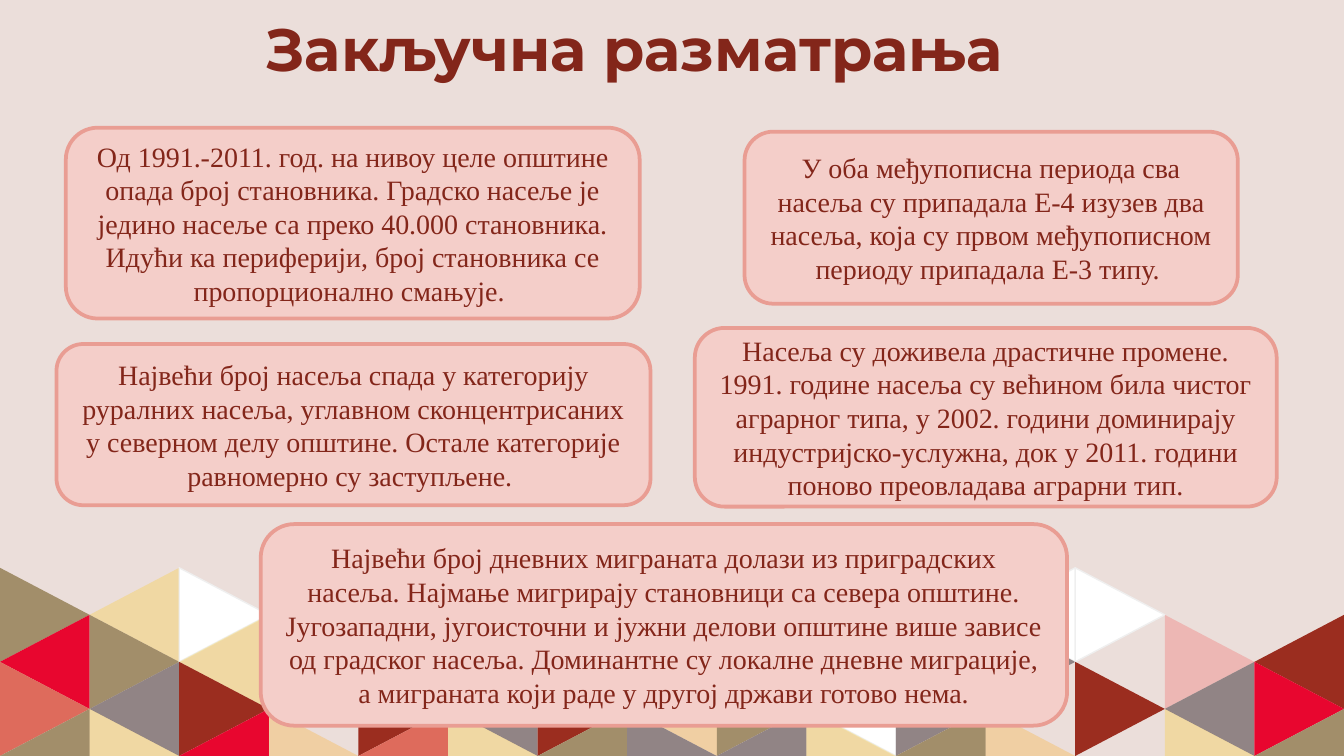
from lxml.etree import SubElement
from pptx import Presentation
from pptx.dml.color import RGBColor
from pptx.enum.shapes import MSO_SHAPE
from pptx.enum.text import MSO_ANCHOR, PP_ALIGN
from pptx.oxml.ns import qn
from pptx.util import Inches, Pt

SLIDE_WIDTH = Inches(10)
SLIDE_HEIGHT = SLIDE_WIDTH * 9 // 16
COLUMN_WIDTH = SLIDE_WIDTH / 15
LEVEL_HEIGHT = Inches(0.35)
LEVEL_COUNT = 4

BACKGROUND = RGBColor(0xEB, 0xDE, 0xDA)
TEXT_COLOR = RGBColor(0x83, 0x26, 0x1A)
BOX_FILL = RGBColor(0xF4, 0xCE, 0xC9)
BOX_LINE = RGBColor(0xE9, 0x9D, 0x93)
TRIANGLE_LINE = RGBColor(0xEF, 0xEF, 0xEF)
RED = RGBColor(0xE8, 0x06, 0x2F)
GREY = RGBColor(0x91, 0x84, 0x85)
TAN = RGBColor(0xA2, 0x8E, 0x6A)
RUST = RGBColor(0x9B, 0x2D, 0x1F)
CORAL = RGBColor(0xDE, 0x6B, 0x5C)
WHITE = RGBColor(0xFF, 0xFF, 0xFF)
YELLOW = RGBColor(0xFF, 0xC8, 0x00)
ORANGE = RGBColor(0xFF, 0xA4, 0x00)
PINK = RGBColor(0xF6, 0x46, 0x46)
TRANSLUCENT = (YELLOW, ORANGE, PINK)

# One list per column: direction the triangle points, level of its top, color
TRIANGLE_COLUMNS = [
    [("right", 0, TAN), ("left", 1, RED), ("right", 2, CORAL), ("left", 3, TAN)],
    [("left", 0, YELLOW), ("right", 1, TAN), ("left", 2, GREY), ("right", 3, YELLOW)],
    [("right", 0, WHITE), ("left", 1, YELLOW), ("right", 2, RUST), ("left", 3, RED)],
    [("right", 3, ORANGE)],
    [("right", 2, RUST), ("left", 3, CORAL)],
    [("left", 2, GREY), ("right", 3, YELLOW)],
    [("right", 2, RUST), ("left", 3, TAN)],
    [("left", 2, ORANGE), ("right", 3, GREY)],
    [("right", 2, TAN), ("left", 3, GREY)],
    [("left", 2, WHITE), ("right", 3, YELLOW)],
    [("right", 2, GREY), ("left", 3, TAN)],
    [("left", 0, WHITE), ("right", 1, GREY), ("right", 3, ORANGE)],
    [("right", 0, WHITE), ("right", 2, RUST)],
    [("right", 1, PINK), ("left", 2, GREY), ("right", 3, YELLOW)],
    [("left", 1, RUST), ("right", 2, RED), ("left", 3, TAN)],
]

# Left, top, width, height, text
CONCLUSIONS = [
    (0.49, 0.95, 4.27, 1.42,
     "Од 1991.-2011. год. на нивоу целе општине опада број становника. "
     "Градско насеље је једино насеље са преко 40.000 становника. "
     "Идући ка периферији, број становника се пропорционално смањује. "),
    (5.54, 0.98, 3.67, 1.28,
     "У оба међупописна периода сва насеља су припадала Е-4 изузев два насеља, "
     "која су првом међупописном периоду припадала Е-3 типу. "),
    (0.42, 2.56, 4.42, 1.2,
     "Највећи број насеља спада у категорију руралних насеља, углавном "
     "сконцентрисаних у северном делу општине. Остале категорије равномерно "
     "су заступљене. "),
    (5.17, 2.44, 4.33, 1.33,
     "Насеља су доживела драстичне промене. 1991. године насеља су већином била "
     "чистог аграрног типа, у 2002. години доминирају индустријско-услужна, "
     "док у 2011. години поново преовладава аграрни тип."),
    (1.94, 3.9, 6, 1.5,
     "Највећи број дневних миграната долази из приградских насеља. Најмање "
     "мигрирају становници са севера општине. Југозападни, југоисточни и јужни "
     "делови општине више зависе од градског насеља. Доминантне су локалне "
     "дневне миграције, а миграната који раде у другој држави готово нема."),
]


def level_y(level):
    """Height of a level line; levels below the slide stop at its bottom edge."""
    return SLIDE_HEIGHT - max(LEVEL_COUNT - level, 0) * LEVEL_HEIGHT


def add_triangle(slide, column, direction, level, color):
    base_x, tip_x = column * COLUMN_WIDTH, (column + 1) * COLUMN_WIDTH
    if direction == "left":
        base_x, tip_x = tip_x, base_x
    builder = slide.shapes.build_freeform(base_x, level_y(level))
    builder.add_line_segments([(tip_x, level_y(level + 1)), (base_x, level_y(level + 2))])
    triangle = builder.convert_to_shape()
    triangle.shadow.inherit = False
    triangle.fill.solid()
    triangle.fill.fore_color.rgb = color
    if color in TRANSLUCENT:
        color_element = triangle.fill._xPr.find(qn("a:solidFill"))[0]
        SubElement(color_element, qn("a:alpha"), val="25000")
    if color == WHITE:
        triangle.line.color.rgb = TRIANGLE_LINE
        triangle.line.width = Pt(0.75)
    else:
        triangle.line.fill.background()


def write_text(shape, text, font_name, size, anchor, bold=False):
    frame = shape.text_frame
    frame.word_wrap = True
    frame.vertical_anchor = anchor
    paragraph = frame.paragraphs[0]
    paragraph.text = text
    paragraph.alignment = PP_ALIGN.CENTER
    font = paragraph.font
    font.name = font_name
    font.size = Pt(size)
    font.bold = bold
    font.color.rgb = TEXT_COLOR


def add_title(slide, text):
    title = slide.shapes.add_textbox(Inches(1.04), 0, Inches(7.36), Inches(0.72))
    title.text_frame.margin_top = title.text_frame.margin_bottom = Inches(0.1)
    write_text(title, text, "Montserrat", 32, MSO_ANCHOR.BOTTOM, bold=True)


def add_conclusion(slide, left, top, width, height, text):
    box = slide.shapes.add_shape(
        MSO_SHAPE.ROUNDED_RECTANGLE,
        Inches(left), Inches(top), Inches(width), Inches(height))
    box.shadow.inherit = False
    box.fill.solid()
    box.fill.fore_color.rgb = BOX_FILL
    box.line.color.rgb = BOX_LINE
    box.line.width = Pt(2)
    write_text(box, text, "Times New Roman", 15, MSO_ANCHOR.MIDDLE)


def main():
    presentation = Presentation()
    presentation.slide_width = SLIDE_WIDTH
    presentation.slide_height = SLIDE_HEIGHT
    slide = presentation.slides.add_slide(presentation.slide_layouts[6])
    slide.background.fill.solid()
    slide.background.fill.fore_color.rgb = BACKGROUND
    for column, triangles in enumerate(TRIANGLE_COLUMNS):
        for direction, level, color in triangles:
            add_triangle(slide, column, direction, level, color)
    add_title(slide, "Закључна разматрања")
    for conclusion in CONCLUSIONS:
        add_conclusion(slide, *conclusion)
    presentation.save("out.pptx")


if __name__ == "__main__":
    main()
